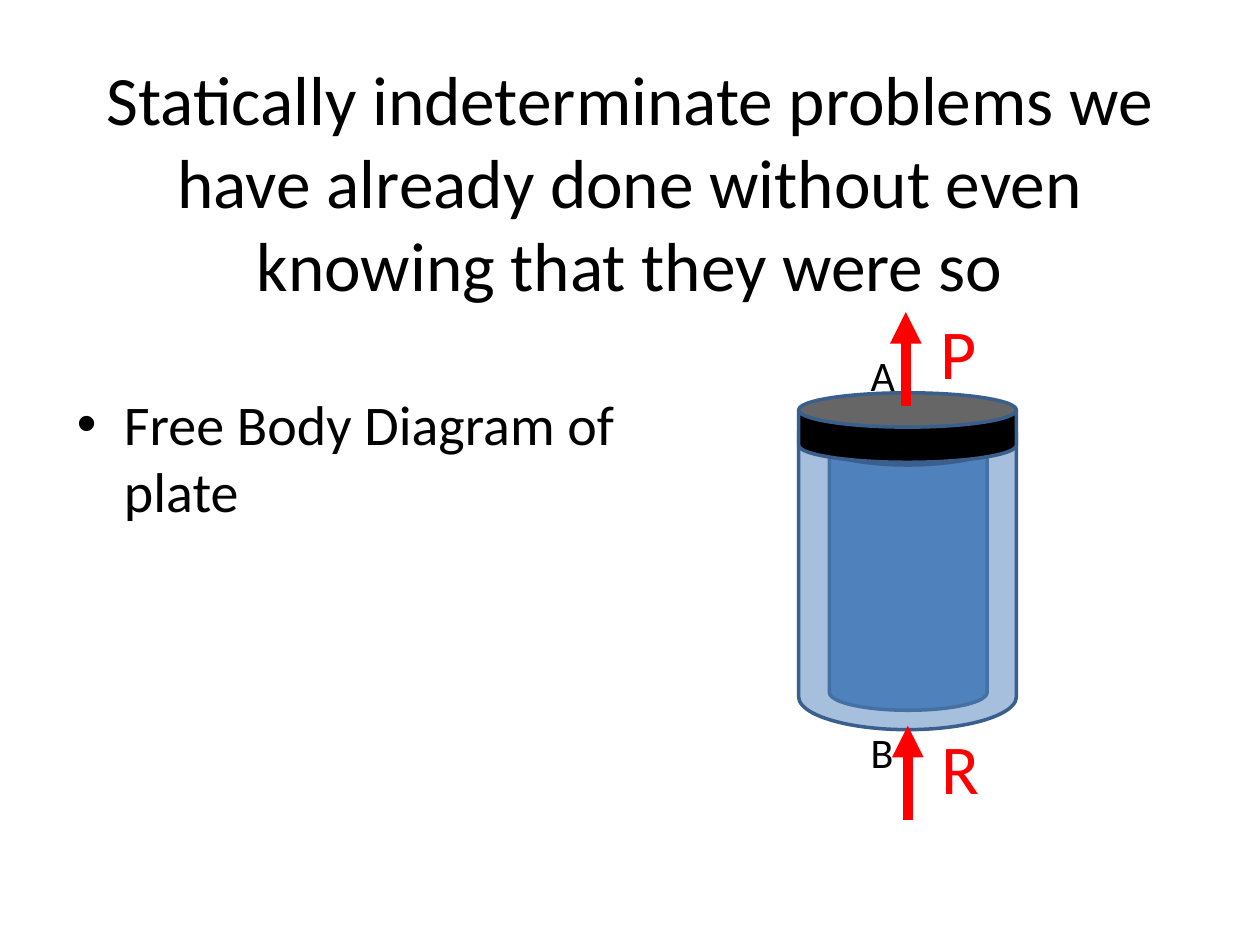
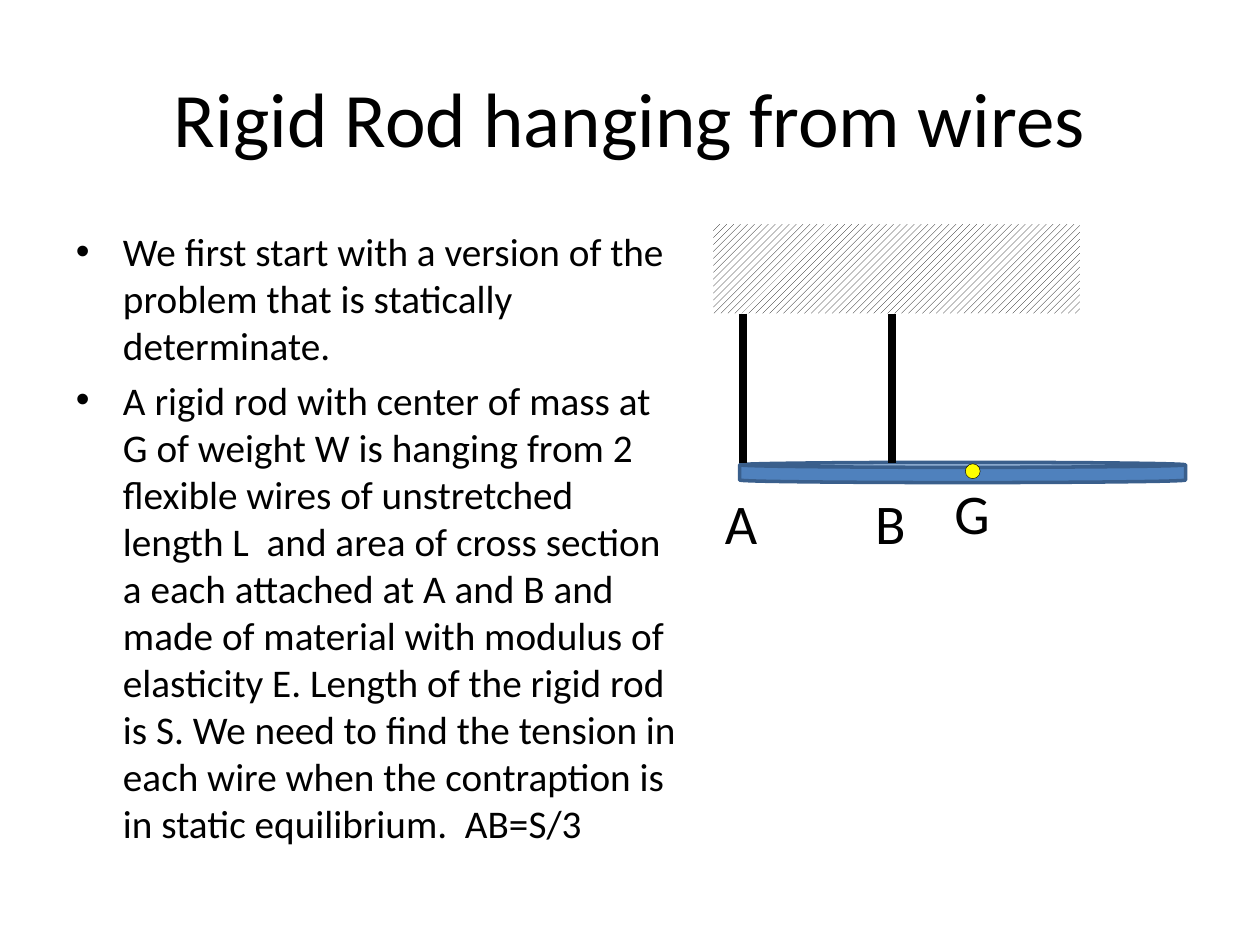
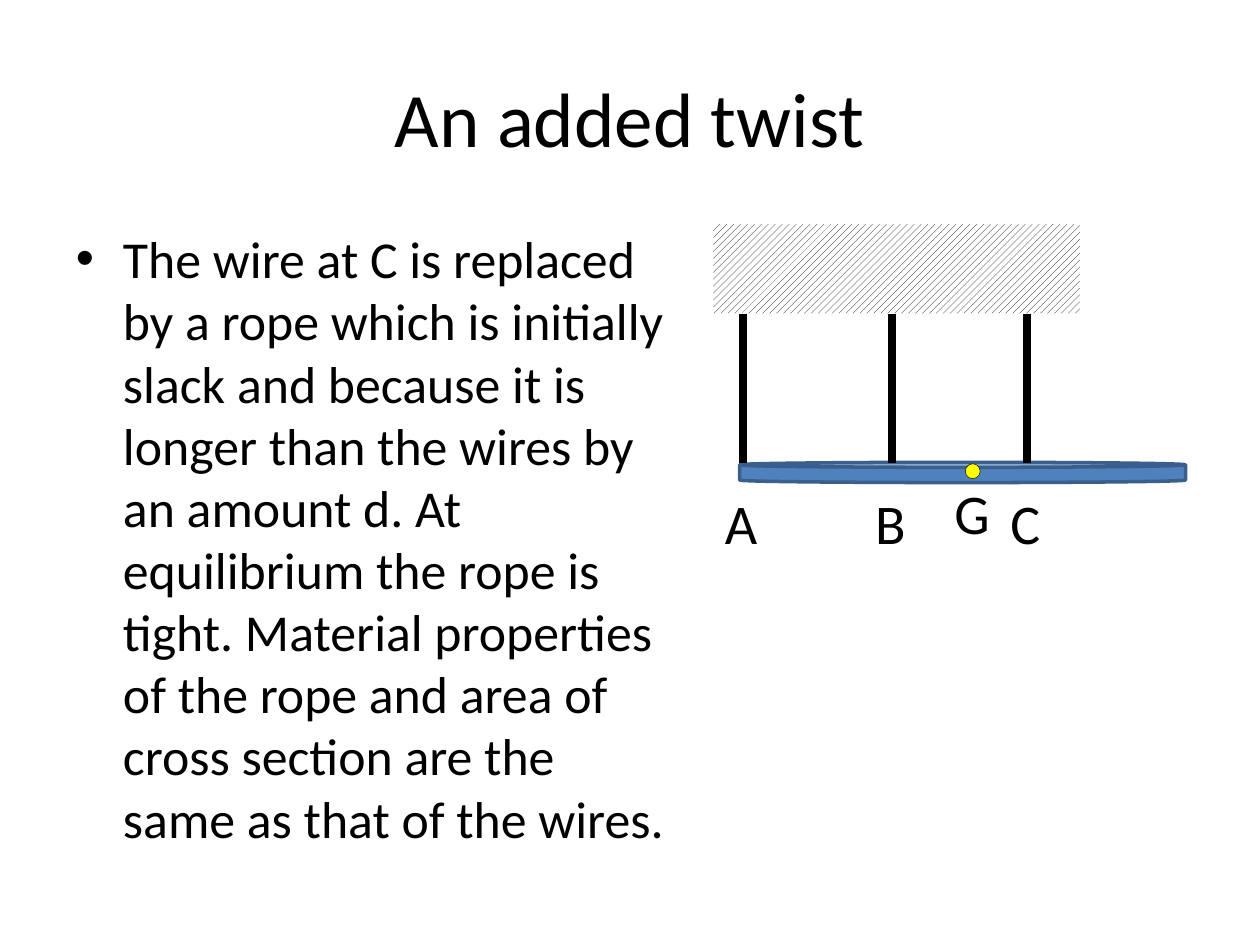
import pptx
import pptx.util
import pptx.dml.color
import pptx.enum.dml
import pptx.enum.shapes
import pptx.enum.text
import pptx.oxml
import pptx.oxml.ns
from lxml import etree

Cm = pptx.util.Cm
Pt = pptx.util.Pt
qn = pptx.oxml.ns.qn
SHAPE = pptx.enum.shapes.MSO_SHAPE
ALIGN = pptx.enum.text.PP_ALIGN
ANCHOR = pptx.enum.text.MSO_ANCHOR

FONT = "Calibri"
COLORS = {
    "text": "000000",
    "paper": "FFFFFF",
    "steel": "4F81BD",
    "outline": "3A5F8C",
    "force": "FF0000",
    "mass": "FFFF00",
}
INDENT = Cm(0.95)
CEILING_BOTTOM, ROD_TOP = 6.32, 9.33
BODY_BOX = (1.28, 4.45, 12.62, 12.57)


def rgb(name):
    return pptx.dml.color.RGBColor.from_string(COLORS[name])


def add_bullet(p):
    pPr = p._p.get_or_add_pPr()
    pPr.set("marL", str(INDENT))
    pPr.set("indent", str(-INDENT))
    etree.SubElement(pPr, qn("a:buFont")).set("typeface", "Arial")
    etree.SubElement(pPr, qn("a:buChar")).set("char", "•")


def add_text(s, text, box, size, color="text", align=ALIGN.LEFT,
             anchor=ANCHOR.TOP, wrap=True, bullet=False):
    """Add a text box at box (cm); each line of text is a paragraph."""
    tf = s.shapes.add_textbox(*map(Cm, box)).text_frame
    tf.word_wrap = wrap
    tf.vertical_anchor = anchor
    for i, line in enumerate(text.split("\n")):
        p = tf.add_paragraph() if i else tf.paragraphs[0]
        p.alignment = align
        if bullet:
            add_bullet(p)
        if i:
            p.space_before = Pt(0.2 * size)
        r = p.add_run()
        r.text = line
        r.font.name = FONT
        r.font.size = Pt(size)
        r.font.color.rgb = rgb(color)


def add_title(s, text, size=44, height=3.18):
    add_text(s, text, (1.27, 0.76, 22.86, height), size,
             align=ALIGN.CENTER, anchor=ANCHOR.MIDDLE)


def add_solid(s, kind, box, fill, line="outline", width=2, adj=None, alpha=None):
    """Add a filled, outlined shape; alpha is the opacity in percent."""
    sp = s.shapes.add_shape(kind, *map(Cm, box))
    sp.shadow.inherit = False
    sp.fill.solid()
    sp.fill.fore_color.rgb = rgb(fill)
    sp.line.color.rgb = rgb(line)
    sp.line.width = Pt(width)
    if adj is not None:
        sp.adjustments[0] = adj
    if alpha is not None:
        clr = sp.fill._xPr.find(qn("a:solidFill"))[0]
        etree.SubElement(clr, qn("a:alpha")).set("val", str(alpha * 1000))


def add_vertical(s, x, y1, y2, color="text", width=4.5, arrow=False):
    """Add a vertical line from y1 to y2, with an arrowhead at y2 if asked."""
    line = s.shapes.add_connector(pptx.enum.shapes.MSO_CONNECTOR.STRAIGHT,
                                  Cm(x), Cm(y1), Cm(x), Cm(y2))
    line.line.color.rgb = rgb(color)
    line.line.width = Pt(width)
    if arrow:
        ln = line.line._get_or_add_ln()
        etree.SubElement(ln, qn("a:tailEnd")).set("type", "triangle")
    etree.SubElement(line._element.spPr, qn("a:effectLst"))


def add_force(s, name, x, tip, label_box):
    add_vertical(s, x, tip + 1.9, tip, color="force", width=6, arrow=True)
    add_text(s, name, label_box, 40, color="force")


def add_point_label(s, name, x, y=9.72):
    add_text(s, name, (x - 0.63, y, 1.2, 1.63), 32, align=ALIGN.CENTER, wrap=False)


def add_wire(s, name, x):
    add_vertical(s, x, CEILING_BOTTOM, ROD_TOP)
    add_point_label(s, name, x)


def add_ceiling(s):
    sp = s.shapes.add_shape(SHAPE.RECTANGLE, Cm(14.38), Cm(4.52), Cm(7.39), Cm(1.8))
    sp.shadow.inherit = False
    sp.fill.patterned()
    sp.fill.pattern = pptx.enum.dml.MSO_PATTERN.WIDE_UPWARD_DIAGONAL
    sp.fill.fore_color.rgb = rgb("text")
    sp.fill.back_color.rgb = rgb("paper")
    sp.line.fill.background()


def add_hanging_rod(s):
    """Draw the rod with centre of mass G, hung from wires at A and B."""
    add_ceiling(s)
    add_solid(s, SHAPE.CAN, (14.91, 9.32, 8.99, 0.41), "steel")
    add_wire(s, "A", 14.97)
    add_wire(s, "B", 17.98)
    add_point_label(s, "G", 19.62, y=9.53)
    add_solid(s, SHAPE.OVAL, (19.46, 9.35, 0.3, 0.3), "mass", line="text", width=0.25)


def add_plate_on_cylinders(s):
    add_solid(s, SHAPE.CAN, (16.72, 8.33, 3.18, 5.99), "steel", adj=0.226)
    add_solid(s, SHAPE.CAN, (16.1, 8.05, 4.39, 6.66), "steel", adj=0.302, alpha=50)
    add_solid(s, SHAPE.CAN, (16.1, 7.92, 4.39, 1.4), "text", adj=0.494)
    add_force(s, "P", 18.26, 6.29, (18.71, 6.12, 1.6, 1.96))
    add_force(s, "R", 18.3, 14.63, (18.73, 14.48, 1.6, 1.96))
    for name, y in (("A", 6.93), ("B", 14.53)):
        add_text(s, name, (17.3, y, 1, 1.19), 24)


def main():
    prs = pptx.Presentation()
    prs.slide_width, prs.slide_height = Cm(25.4), Cm(19.05)
    plate, rod, twist = (prs.slides.add_slide(prs.slide_layouts[6]) for _ in range(3))

    add_title(plate, "Statically indeterminate problems we have already done "
              "without even knowing that they were so", size=39.6, height=5.77)
    add_text(plate, "Free Body Diagram of plate", (1.3, 7.72, 12.6, 9.3), 32, bullet=True)
    add_plate_on_cylinders(plate)

    add_title(rod, "Rigid Rod hanging from wires")
    add_text(rod, "We first start with a version of the problem that is statically "
             "determinate.\n"
             "A rigid rod with center of mass at G of weight W is hanging from 2 "
             "flexible wires of unstretched length L  and area of cross section a each "
             "attached at A and B and made of material with modulus of elasticity E. "
             "Length of the rigid rod is S. We need to find the tension in each wire "
             "when the contraption is in static equilibrium.  AB=S/3",
             BODY_BOX, 22.4, bullet=True)
    add_hanging_rod(rod)

    add_title(twist, "An added twist")
    add_text(twist, "The wire at C is replaced by a rope which is initially slack and "
             "because it is longer than the wires by an amount d. At equilibrium the "
             "rope is tight. Material properties of the rope and area of cross section "
             "are the same as that of the wires.",
             BODY_BOX, 29.6, bullet=True)
    add_hanging_rod(twist)
    add_wire(twist, "C", 20.7)

    prs.save("out.pptx")


if __name__ == "__main__":
    main()
